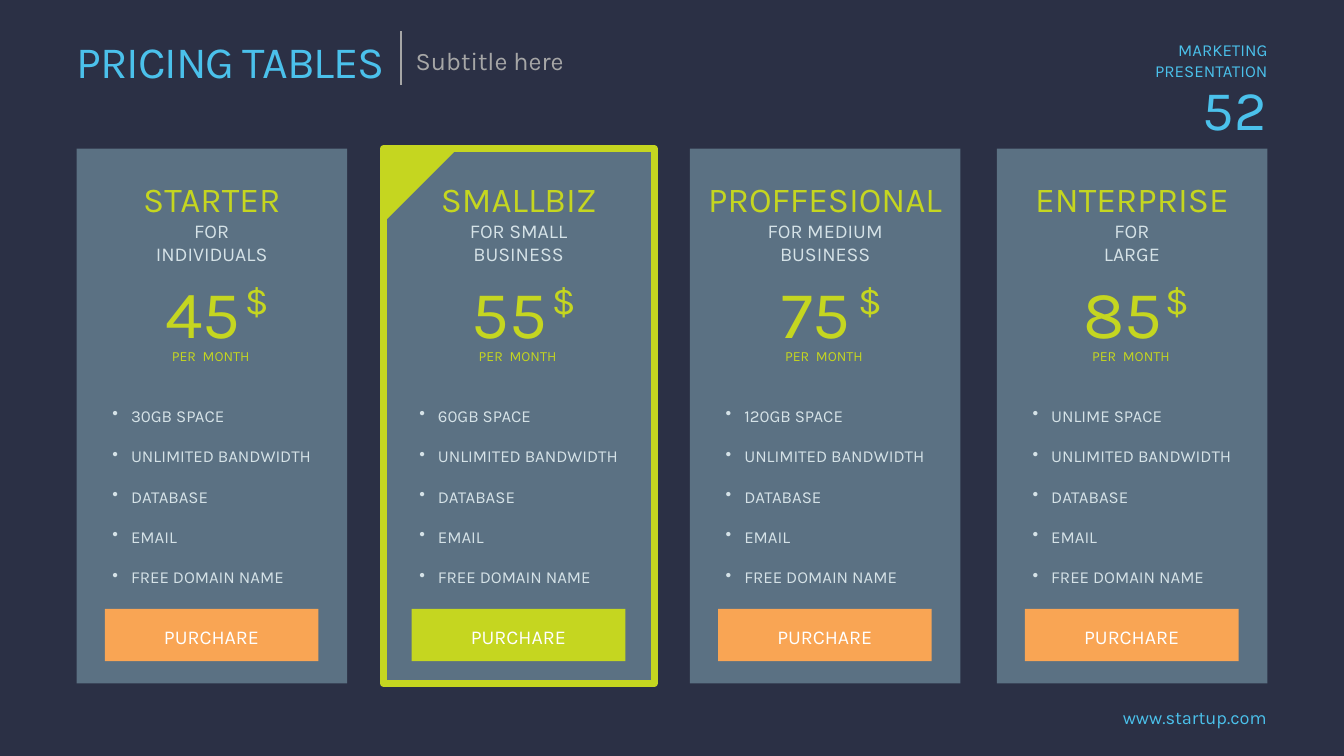
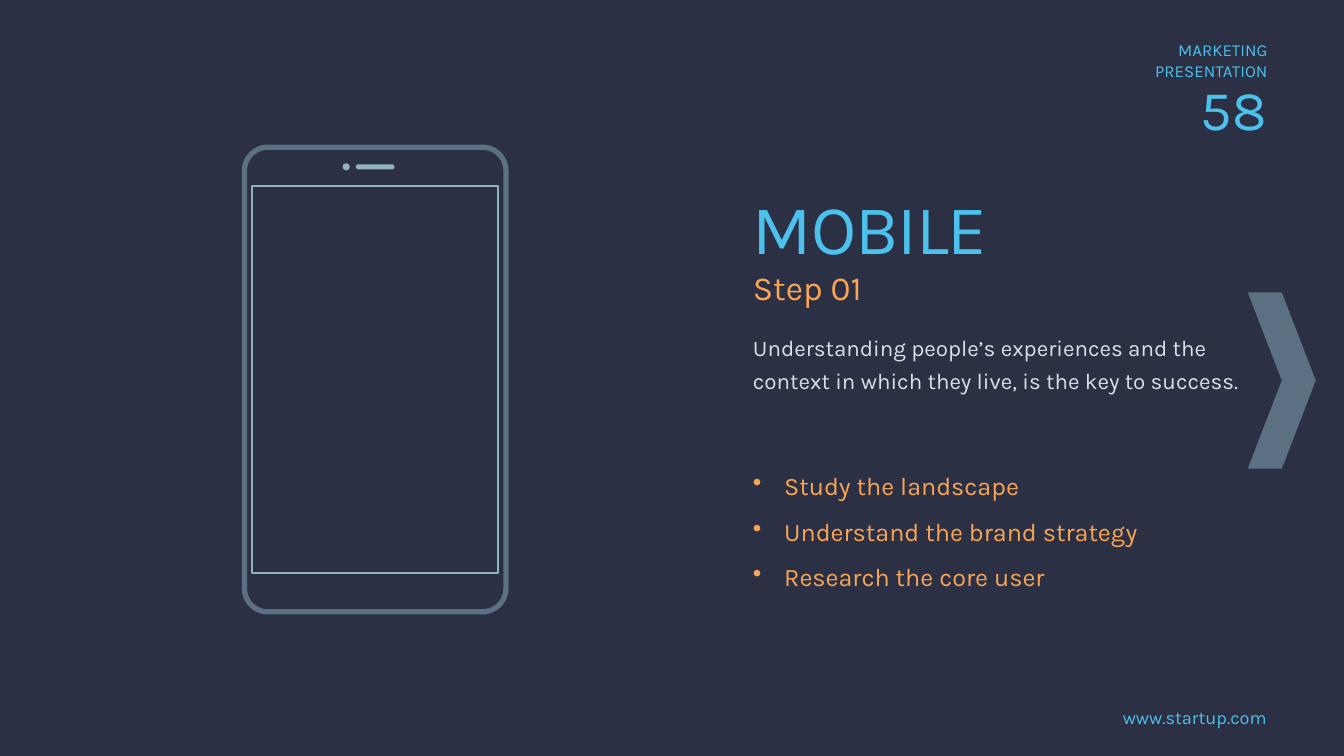
from lxml.etree import SubElement
from pptx import Presentation
from pptx.dml.color import RGBColor
from pptx.enum.shapes import MSO_CONNECTOR, MSO_SHAPE
from pptx.enum.text import MSO_ANCHOR, MSO_AUTO_SIZE, PP_ALIGN
from pptx.oxml.ns import qn
from pptx.util import Pt

PX = 9144
FONT = "Karla"
NAVY = RGBColor(0x2B, 0x30, 0x45)
SKY = RGBColor(0x4B, 0xC1, 0xEB)
SLATE = RGBColor(0x5B, 0x71, 0x83)
MIST = RGBColor(0x91, 0xB3, 0xC1)
PALE = RGBColor(0xD5, 0xE2, 0xE7)
GREY = RGBColor(0xA6, 0xA6, 0xA6)
LIME = RGBColor(0xC5, 0xD6, 0x20)
ORANGE = RGBColor(0xF9, 0xA5, 0x54)
WHITE = RGBColor(0xFF, 0xFF, 0xFF)
LEFT, CENTER, RIGHT = PP_ALIGN.LEFT, PP_ALIGN.CENTER, PP_ALIGN.RIGHT
TOP, MIDDLE = MSO_ANCHOR.TOP, MSO_ANCHOR.MIDDLE


def add_text(page, place, text, size, color, align=LEFT, anchor=MIDDLE, wrap=False,
             grow=True, padded=False, spacing=None, indent=0, tracking=0):
    box = page.shapes.add_textbox(*[length * PX for length in place])
    frame = box.text_frame
    frame.text = text
    frame.word_wrap = wrap
    frame.vertical_anchor = anchor
    frame.auto_size = MSO_AUTO_SIZE.SHAPE_TO_FIT_TEXT if grow else MSO_AUTO_SIZE.NONE
    if not padded:
        frame.margin_left = frame.margin_top = frame.margin_right = frame.margin_bottom = 0
    for para in frame.paragraphs:
        para.alignment = align
        para.line_spacing = spacing
        if indent:
            properties = para._p.get_or_add_pPr()
            properties.set("marL", str(indent * PX))
            properties.set("indent", str(-indent * PX))
            SubElement(properties, qn("a:buChar"), char="•")
        para.font.name = FONT
        para.font.size = Pt(size)
        para.font.color.rgb = color
        if tracking:
            for span in para.runs:
                span._r.get_or_add_rPr().set("spc", str(tracking))


def add_block(page, kind, place, fill=None, line=None, weight=0):
    block = page.shapes.add_shape(kind, *[length * PX for length in place])
    block.shadow.inherit = False
    if fill is None:
        block.fill.background()
    else:
        block.fill.solid()
        block.fill.fore_color.rgb = fill
    if line is None:
        block.line.fill.background()
    else:
        block.line.color.rgb = line
        block.line.width = Pt(weight)
    return block


deck = Presentation()
deck.slide_width = 2667 * PX
deck.slide_height = 1500 * PX

pages = []
for number in ("52", "58"):
    page = deck.slides.add_slide(deck.slide_layouts[6])
    page.background.fill.solid()
    page.background.fill.fore_color.rgb = NAVY
    add_text(page, (2156, 1401, 358, 44), "www.startup.com", 26, SKY, RIGHT, TOP, wrap=True)
    add_text(page, (2291, 79, 224, 81), "MARKETING\nPRESENTATION", 24, SKY, RIGHT)
    add_text(page, (2206, 175, 308, 80), number, 80, SKY, RIGHT, wrap=True, grow=False)
    pages.append(page)
pricing, mobile = pages

CARD_TOP, CARD_WIDTH, CARD_HEIGHT = 295, 537, 1061
card_lefts = [152 + round(column * 1826 / 3) for column in range(4)]
for left in card_lefts:
    add_block(pricing, MSO_SHAPE.RECTANGLE, (left, CARD_TOP, CARD_WIDTH, CARD_HEIGHT), SLATE)

add_text(pricing, (152, 66, 621, 108), "PRICING TABLES", 64, SKY, tracking=-150)
add_text(pricing, (815, 84, 317, 71), "Subtitle here", 36, GREY, padded=True)
divider = pricing.shapes.add_connector(MSO_CONNECTOR.STRAIGHT, 796 * PX, 62 * PX, 796 * PX, 169 * PX)
divider.line.color.rgb = GREY
divider.line.width = Pt(2.25)
SubElement(divider._element.spPr, qn("a:effectLst"))

plans = [
    ("STARTER", 26, "FOR\vINDIVIDUALS", 298, "45", "30GB", ORANGE),
    ("SMALLBIZ", 26, "FOR SMALL\vBUSINESS", 372, "55", "60GB", LIME),
    ("PROFFESIONAL", 0, "FOR MEDIUM\vBUSINESS", 403, "75", "120GB", ORANGE),
    ("ENTERPRISE", 26, "FOR\vLARGE", 188, "85", "UNLIME", ORANGE),
]
shared_features = ["UNLIMITED BANDWIDTH", "DATABASE", "EMAIL", "FREE DOMAIN NAME"]
for left, (name, inset, audience, audience_width, price, space, button_color) in zip(card_lefts, plans):
    add_text(pricing, (left + inset, 348, CARD_WIDTH - 2 * inset, 94), name, 50, LIME,
             CENTER, TOP, wrap=True, padded=True)
    audience_left = left + (CARD_WIDTH - audience_width) // 2
    add_text(pricing, (audience_left, 457, audience_width, 47), audience, 28, PALE, CENTER)
    add_text(pricing, (left + 189, 689, 157, 34), "PER  MONTH", 20, LIME)
    add_text(pricing, (left + 161, 539, 179, 162), price, 96, LIME, CENTER, TOP, wrap=True)
    add_text(pricing, (left + 334, 549, 42, 91), "$", 54, LIME)
    add_block(pricing, MSO_SHAPE.RECTANGLE, (left + 56, 1208, 424, 104), button_color)
    add_text(pricing, (left + 173, 1239, 189, 47), "PURCHARE", 28, WHITE, CENTER)
    features = "\n".join([f"{space} SPACE"] + shared_features)
    add_text(pricing, (left + 71, 763, 396, 404), features, 24, PALE, spacing=2.0, indent=37)

featured_left = card_lefts[1]
add_block(pricing, MSO_SHAPE.RECTANGLE, (featured_left, CARD_TOP, CARD_WIDTH, CARD_HEIGHT),
          line=LIME, weight=10)
corner = add_block(pricing, MSO_SHAPE.RIGHT_TRIANGLE, (featured_left, CARD_TOP, 147, 147), LIME)
corner.rotation = 90

phone_body = add_block(mobile, MSO_SHAPE.ROUNDED_RECTANGLE, (485, 292, 519, 922), line=SLATE, weight=7.5)
phone_body.adjustments[0] = 0.09
add_block(mobile, MSO_SHAPE.RECTANGLE, (501, 369, 487, 768), line=MIST, weight=3)
add_block(mobile, MSO_SHAPE.OVAL, (680, 324, 14, 14), MIST)
speaker = add_block(mobile, MSO_SHAPE.ROUNDED_RECTANGLE, (706, 326, 77, 10), MIST)
speaker.adjustments[0] = 0.5

add_text(mobile, (1494, 530, 226, 81), "Step 01", 48, ORANGE)
add_text(mobile, (1494, 366, 467, 168), "MOBILE", 100, SKY, tracking=-150)
add_text(mobile, (1494, 653, 1021, 129),
         "Understanding people’s experiences and the context in which they live, is the key to success.",
         32, PALE, anchor=TOP, wrap=True, spacing=1.2)
add_text(mobile, (1494, 904, 870, 273),
         "Study the landscape\nUnderstand the brand strategy\nResearch the core user",
         36, ORANGE, anchor=TOP, wrap=True, spacing=1.5, indent=62)
add_block(mobile, MSO_SHAPE.CHEVRON, (2476, 580, 135, 350), SLATE)

deck.save("out.pptx")
